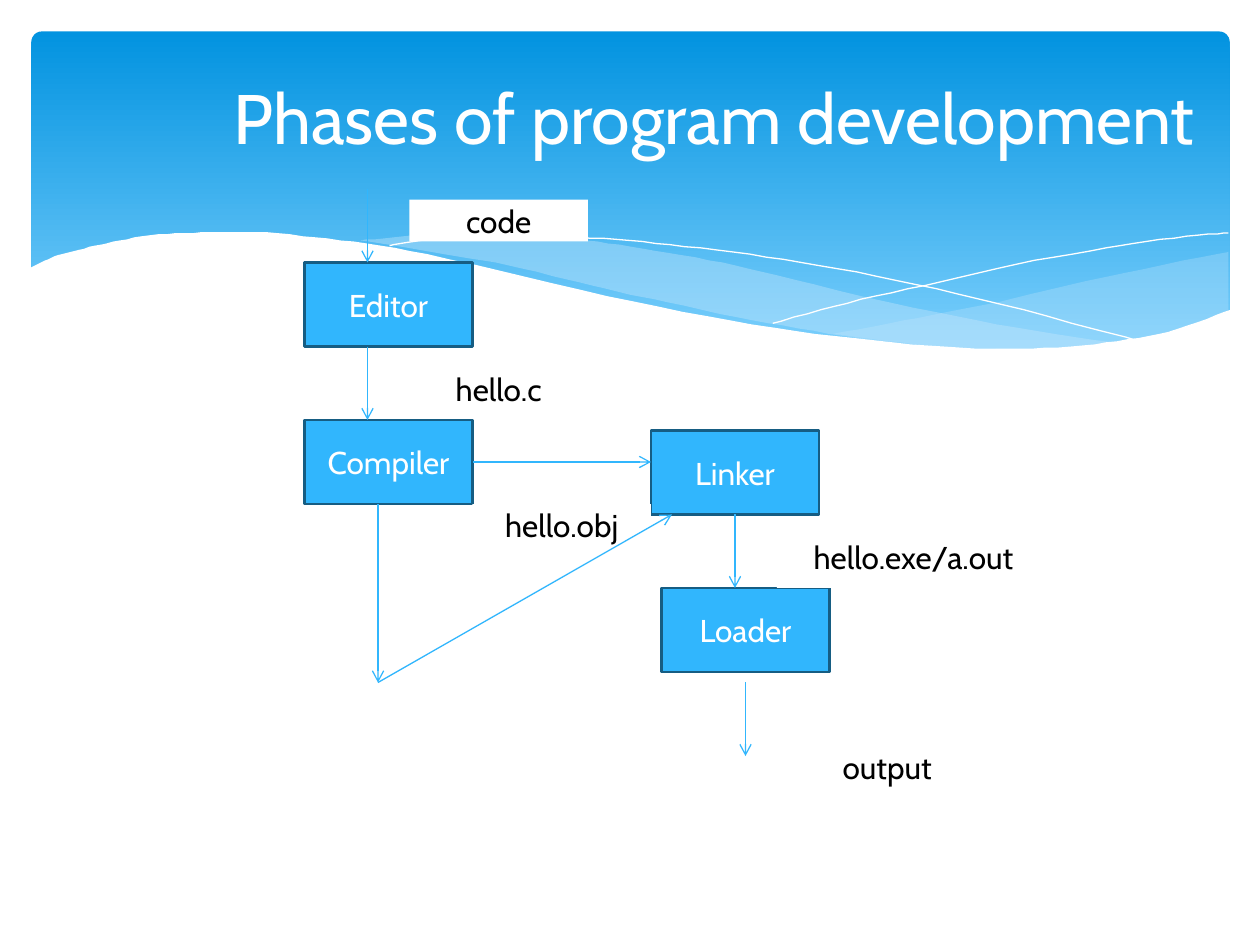
"""Build the slide on the phases of program development."""
from typing import NamedTuple, Optional

from lxml import etree
from pptx import Presentation
from pptx import util as u
from pptx.dml.color import RGBColor
from pptx.enum import shapes, text
from pptx.oxml import ns

PX = 7620
FONT = "Cabin"
COLORS = {
    "white": "FFFFFF",
    "black": "000000",
    "sky": "31B6FD",
    "edge": "165D83",
    "band_top": "0293E0",
    "band_bottom": "83D3FE",
    "veil": "C6E7FC",
}


class Block(NamedTuple):
    caption: str
    left: int
    top: int
    width: int
    height: int
    fill: str
    ink: str
    border: Optional[str] = None


class Arrow(NamedTuple):
    start: tuple[int, int]
    end: tuple[int, int]


class Wave(NamedTuple):
    edges: list[list[tuple[int, int]]]
    fill: Optional[str] = None
    opacity: int = 100


def phase(caption: str, left: int, top: int) -> Block:
    """Describe one development phase."""
    return Block(caption, left, top, 160, 80, "sky", "white", "edge")


def product(caption: str, left: int, top: int, width: int = 170, height: int = 40) -> Block:
    """Describe the label of what a phase produces."""
    return Block(caption, left, top, width, height, "white", "black")


WAVES = [
    Wave([
        [(1170, 240), (1109, 252), (1033, 268), (966, 284), (903, 297), (847, 308), (793, 318)],
        [(793, 318), (846, 325), (894, 330), (937, 332), (977, 333), (1013, 332), (1046, 329),
         (1076, 324), (1105, 318), (1130, 311), (1156, 302), (1170, 296)],
    ], "veil", 29),
    Wave([
        [(1072, 328), (1004, 318), (930, 305), (847, 288), (755, 266), (701, 253), (649, 243),
         (601, 235), (557, 229), (504, 224), (456, 222), (413, 223), (376, 226), (343, 229)],
        [(343, 229), (388, 236), (434, 244), (485, 253), (539, 266), (589, 278), (636, 288),
         (701, 302), (761, 313), (816, 322), (867, 328), (913, 332), (955, 335), (994, 335),
         (1028, 333), (1072, 328)],
    ], "veil", 40),
    Wave([
        [(371, 234), (394, 230), (424, 227), (464, 224), (499, 224), (540, 226), (587, 228),
         (638, 233), (698, 240), (763, 250), (834, 263), (912, 280), (997, 301), (1088, 326)],
    ]),
    Wave([
        [(736, 308), (782, 295), (834, 282), (898, 268), (967, 252), (1039, 239), (1092, 230),
         (1141, 224), (1170, 222)],
    ]),
    Wave([
        [(1172, 295), (1140, 307), (1104, 318), (1064, 325), (1020, 330), (971, 332), (914, 331),
         (850, 326), (776, 318), (695, 305), (603, 287), (502, 264), (407, 242), (350, 232),
         (300, 226), (253, 221), (211, 221), (175, 222), (143, 224), (114, 229), (90, 234),
         (71, 239), (55, 243), (43, 248), (35, 252), (28, 256)],
        [(28, 395), (1172, 395)],
    ], "white"),
]
PHASES = [
    phase("Editor", 290, 250),
    phase("Compiler", 290, 400),
    phase("Linker", 620, 410),
    phase("Loader", 630, 560),
]
STEPS = [
    Arrow((350, 180), (350, 250)),
    Arrow((350, 330), (350, 400)),
    Arrow((360, 480), (360, 650)),
    Arrow((450, 440), (620, 440)),
    Arrow((700, 490), (700, 560)),
    Arrow((710, 650), (710, 720)),
]
PRODUCTS = [
    product("code", 390, 190),
    product("hello.c", 390, 350),
    product("hello.obj", 450, 480),
    product("hello.exe/a.out", 740, 500, 260, 60),
    product("output", 760, 710),
]
OBJECT_TO_LINKER = Arrow((360, 650), (640, 490))


def rgb(name: str) -> RGBColor:
    """Look up a named colour."""
    return RGBColor.from_string(COLORS[name])


def smooth(knots: list[tuple[int, int]], steps: int = 4) -> list[tuple[float, float]]:
    """Interpolate a Catmull-Rom curve through the knots."""
    if len(knots) < 3:
        return list(knots)
    padded = [knots[0], *knots, knots[-1]]
    curve = [knots[0]]
    for quad in zip(padded, padded[1:], padded[2:], padded[3:]):
        for step in range(1, steps + 1):
            t = step / steps
            curve.append(tuple(
                b + t * (c - a + t * (2 * a - 5 * b + 4 * c - d + t * (3 * b - a - 3 * c + d))) / 2
                for a, b, c, d in zip(*quad)))
    return curve


def write(frame, caption: str, size: int, ink: str) -> None:
    """Write centred text in a frame."""
    frame.text = caption
    frame.word_wrap = True
    frame.vertical_anchor = text.MSO_ANCHOR.MIDDLE
    paragraph = frame.paragraphs[0]
    paragraph.alignment = text.PP_ALIGN.CENTER
    font = paragraph.runs[0].font
    font.name, font.size = FONT, u.Pt(size)
    font.color.rgb = rgb(ink)


def draw_band(slide) -> None:
    """Draw the gradient band behind the title."""
    band = slide.shapes.add_shape(
        shapes.MSO_SHAPE.ROUNDED_RECTANGLE, 30 * PX, 30 * PX, 1141 * PX, 324 * PX)
    band.adjustments[0] = 0.03
    band.shadow.inherit = False
    band.line.fill.background()
    band.fill.gradient()
    band.fill.gradient_angle = 270
    for stop, name in zip(band.fill.gradient_stops, ("band_top", "band_bottom")):
        stop.color.rgb = rgb(name)


def draw_wave(slide, wave: Wave) -> None:
    """Draw a filled wave, or a hairline when it has no fill."""
    points = [point for edge in wave.edges for point in smooth(edge)]
    builder = slide.shapes.build_freeform(*points[0], scale=PX)
    builder.add_line_segments(points[1:], close=wave.fill is not None)
    outline = builder.convert_to_shape()
    outline.shadow.inherit = False
    if wave.fill is None:
        outline.fill.background()
        outline.line.color.rgb = rgb("white")
        outline.line.width = 0
        return
    outline.line.fill.background()
    outline.fill.solid()
    outline.fill.fore_color.rgb = rgb(wave.fill)
    if wave.opacity < 100:
        color = outline.element.spPr.find(".//" + ns.qn("a:srgbClr"))
        etree.SubElement(color, ns.qn("a:alpha"), val=str(wave.opacity * 1000))


def draw_block(slide, block: Block) -> None:
    """Draw a phase or a product label."""
    box = slide.shapes.add_shape(
        shapes.MSO_SHAPE.RECTANGLE, *(side * PX for side in block[1:5]))
    box.shadow.inherit = False
    box.fill.solid()
    box.fill.fore_color.rgb = rgb(block.fill)
    if block.border:
        box.line.color.rgb = rgb(block.border)
        box.line.width = u.Pt(1.25)
    else:
        box.line.fill.background()
    write(box.text_frame, block.caption, 18, block.ink)


def draw_arrow(slide, arrow: Arrow) -> None:
    """Draw an arrow between two points."""
    link = slide.shapes.add_connector(
        shapes.MSO_CONNECTOR.STRAIGHT, *(at * PX for at in arrow.start + arrow.end))
    link.line.color.rgb = rgb("sky")
    link.line.width = u.Pt(0.75)
    properties = link.element.spPr
    etree.SubElement(properties.find(ns.qn("a:ln")), ns.qn("a:tailEnd"), type="arrow")
    etree.SubElement(properties, ns.qn("a:effectLst"))


def main() -> None:
    """Build and save the presentation."""
    deck = Presentation()
    deck.slide_width, deck.slide_height = 1200 * PX, 900 * PX
    slide = deck.slides.add_slide(deck.slide_layouts[5])
    draw_band(slide)
    for wave in WAVES:
        draw_wave(slide, wave)
    title = slide.shapes.title
    title.left, title.top, title.width, title.height = 188 * PX, 36 * PX, 984 * PX, 150 * PX
    write(title.text_frame, "Phases of program development", 40, "white")
    title.element.getparent().append(title.element)
    for block in PHASES:
        draw_block(slide, block)
    for arrow in STEPS:
        draw_arrow(slide, arrow)
    for block in PRODUCTS:
        draw_block(slide, block)
    draw_arrow(slide, OBJECT_TO_LINKER)
    deck.save("out.pptx")


if __name__ == "__main__":
    main()
